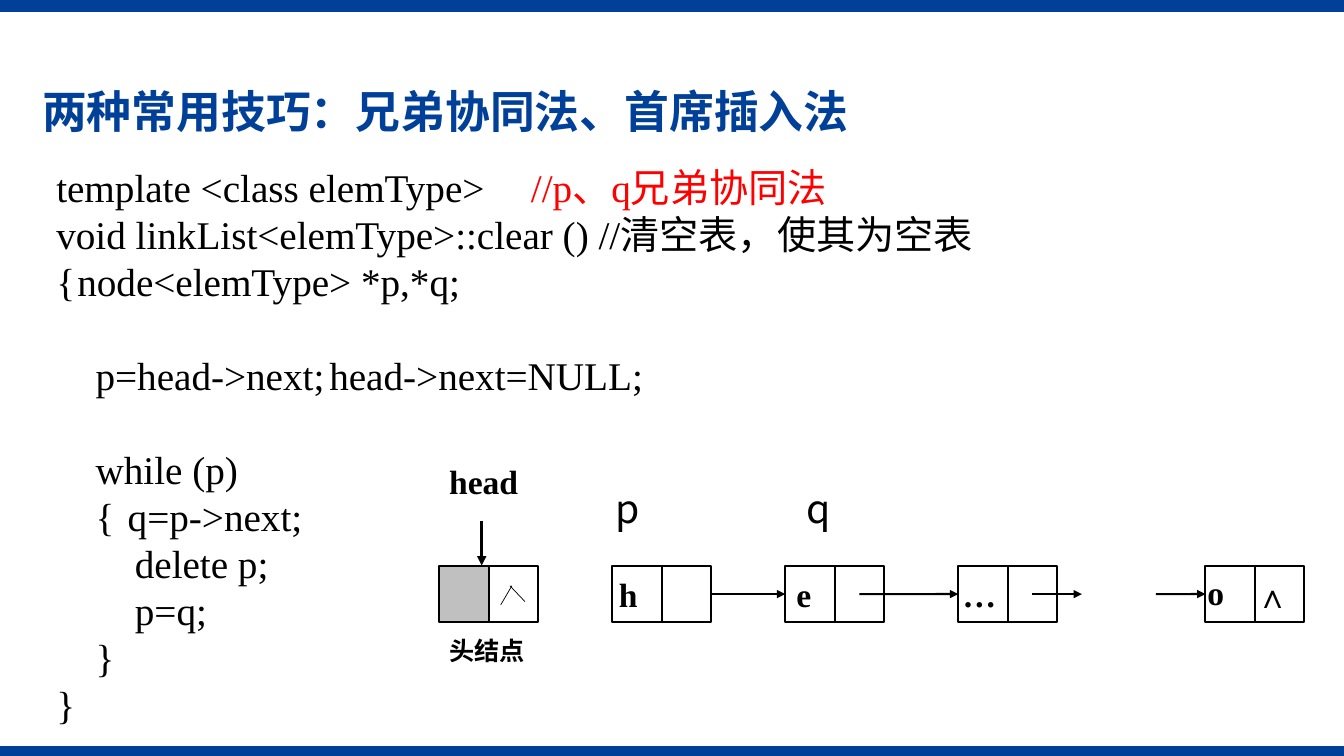
from dataclasses import dataclass

from lxml.etree import SubElement
from pptx import Presentation
from pptx.dml.color import RGBColor
from pptx.enum.shapes import MSO_CONNECTOR, MSO_SHAPE
from pptx.enum.text import MSO_ANCHOR, PP_ALIGN
from pptx.oxml.ns import qn
from pptx.util import Cm, Pt


@dataclass(frozen=True)
class Theme:
    blue: str = "004098"
    black: str = "000000"
    red: str = "FF0000"
    grey: str = "C0C0C0"
    serif: str = "Times New Roman"
    sans: str = "Noto Sans CJK SC"
    title: int = 32
    code: int = 28
    label: int = 24
    caption: int = 18
    outline: float = 1.5
    pointer: float = 2.25
    hairline: float = 0.5


def apply(target, values):
    for name, value in values.items():
        setattr(target, name, value)


class SlideBuilder:
    def __init__(self, page, theme):
        self.page = page
        self.theme = theme

    def rectangle(self, left, top, width, height, fill=None, outlined=True):
        shape = self.page.shapes.add_shape(
            MSO_SHAPE.RECTANGLE, Cm(left), Cm(top), Cm(width), Cm(height))
        shape.shadow.inherit = False
        if fill:
            shape.fill.solid()
            shape.fill.fore_color.rgb = RGBColor.from_string(fill)
        else:
            shape.fill.background()
        if outlined:
            shape.line.color.rgb = RGBColor.from_string(self.theme.black)
            shape.line.width = Pt(self.theme.outline)
        else:
            shape.line.fill.background()
        return shape

    def line(self, start, end, width, arrow=True, source=None, target=None):
        connector = self.page.shapes.add_connector(
            MSO_CONNECTOR.STRAIGHT, *map(Cm, start + end))
        connector.line.color.rgb = RGBColor.from_string(self.theme.black)
        connector.line.width = Pt(width)
        if arrow:
            SubElement(connector.line._get_or_add_ln(), qn("a:tailEnd"), type="triangle")
        SubElement(connector._element.spPr, qn("a:effectLst"))
        if source:
            connector.begin_connect(source, 3)
        if target:
            connector.end_connect(target, 1)

    def box(self, left, top, width, height, **frame_format):
        box = self.page.shapes.add_textbox(Cm(left), Cm(top), Cm(width), Cm(height))
        apply(box.text_frame, {"word_wrap": True, **frame_format})
        return box.text_frame

    def span(self, para, words, size, font=None, color=None, bold=False):
        span = para.add_run()
        span.text = words
        apply(span.font, {"name": font or self.theme.serif, "size": Pt(size), "bold": bold})
        span.font.color.rgb = RGBColor.from_string(color or self.theme.black)
        SubElement(span.font._element, qn("a:ea"), typeface=self.theme.sans)

    def label(self, words, left, top, width, height, size, inset=True, font=None, bold=True):
        margins = {} if inset else dict.fromkeys(
            ("margin_left", "margin_top", "margin_right", "margin_bottom"), 0)
        para = self.box(left, top, width, height, **margins).paragraphs[0]
        self.span(para, words, size, font, bold=bold)

    def title(self, words):
        frame = self.box(0.81, 2.08, 31.01, 1.6, vertical_anchor=MSO_ANCHOR.MIDDLE)
        para = frame.paragraphs[0]
        apply(para, {"line_spacing": 0.9, "alignment": PP_ALIGN.LEFT})
        self.span(para, words, self.theme.title, self.theme.sans, self.theme.blue, True)

    def code(self, lines):
        frame = self.box(0.43, 3.91, 28.91, 14.63, vertical_anchor=MSO_ANCHOR.MIDDLE)
        for number, (level, gap, tab, spans) in enumerate(lines):
            para = frame.add_paragraph() if number else frame.paragraphs[0]
            para.space_before = Pt(gap)
            properties = para._p.get_or_add_pPr()
            properties.set("marL", "0")
            properties.set("indent", str(Cm(0.74 + 0.99 * level)))
            if tab:
                stops = SubElement(properties, qn("a:tabLst"))
                SubElement(stops, qn("a:tab"), pos=str(Cm(tab)), algn="l")
            for words, color in spans:
                self.span(para, words, self.theme.code, color=color)

    def node(self, left, top, cell, height, fill=None):
        data = self.rectangle(left, top, cell, height, fill)
        link = self.rectangle(left + cell, top, cell, height)
        return data, link


def main():
    theme = Theme()
    deck = Presentation()
    apply(deck, {"slide_width": Cm(33.87), "slide_height": Cm(19.05)})
    page = deck.slides.add_slide(deck.slide_layouts[6])
    builder = SlideBuilder(page, theme)

    for top, height in ((18.8, 0.25), (0, 0.3)):
        builder.rectangle(0, top, 33.87, height, theme.blue, outlined=False)
    builder.title("两种常用技巧：兄弟协同法、首席插入法")

    blank = 33.5
    builder.code([
        (0, 0, 12.52, [("template <class elemType>\t", None), ("//p、q兄弟协同法", theme.red)]),
        (0, 0, None, [("void linkList<elemType>::clear () //清空表，使其为空表", None)]),
        (0, 0, 2.19, [("{\tnode<elemType> *p,*q;", None)]),
        (1, blank, 8.96, [("p=head->next;\thead->next=NULL;", None)]),
        (1, blank, None, [("while (p)", None)]),
        (1, 0, 2.92, [("{\tq=p->next;", None)]),
        (2, 0, None, [("delete p;", None)]),
        (2, 0, None, [("p=q;", None)]),
        (1, 0, None, [("}", None)]),
        (0, 0, None, [("}", None)]),
    ])

    left, top, height = 11.07, 14.27, 1.4
    cell = 4.36 / 3.5
    middle = top + height / 2
    columns = {"head": 0, "h": 3.5, "e": 7, "…": 10.5, "o": 15.5}
    nodes = {
        name: builder.node(left + column * cell, top, cell, height,
                           theme.grey if name == "head" else None)
        for name, column in columns.items()
    }

    for start, end, source, target in (
        (5.5, 7, nodes["h"][1], nodes["e"][0]),
        (8.5, 10.5, None, nodes["…"][0]),
        (12, 13, None, None),
        (14.5, 15.5, None, nodes["o"][0]),
    ):
        builder.line((left + start * cell, middle), (left + end * cell, middle),
                     theme.outline, source=source, target=target)

    for words, x, y in (("h", 15.6, 14.45), ("e", 20.07, 14.45), ("o", 30.43, 14.4),
                        ("…", 24.26, 14.45), ("∧", 31.65, 14.48)):
        builder.label(words, x, y, 0.94, 1.19, theme.label, inset=False)

    builder.label("head", left, 11.48, 2.64, 1.68, theme.label)
    builder.line((12.14, 13.13), (12.14, 14.25), theme.pointer)
    builder.label("头结点", left, 15.88, 2.59, 1.02, theme.caption)
    for words, x in (("p", 15.27), ("q", 20.07)):
        builder.label(words, x, 12.09, 1.7, 1.45, theme.code, font=theme.sans, bold=False)
    for start, end in (((12.9, 14.76), (12.62, 15.24)), ((12.85, 14.76), (13.23, 15.16))):
        builder.line(start, end, theme.hairline, arrow=False)

    deck.save("out.pptx")


if __name__ == "__main__":
    main()
